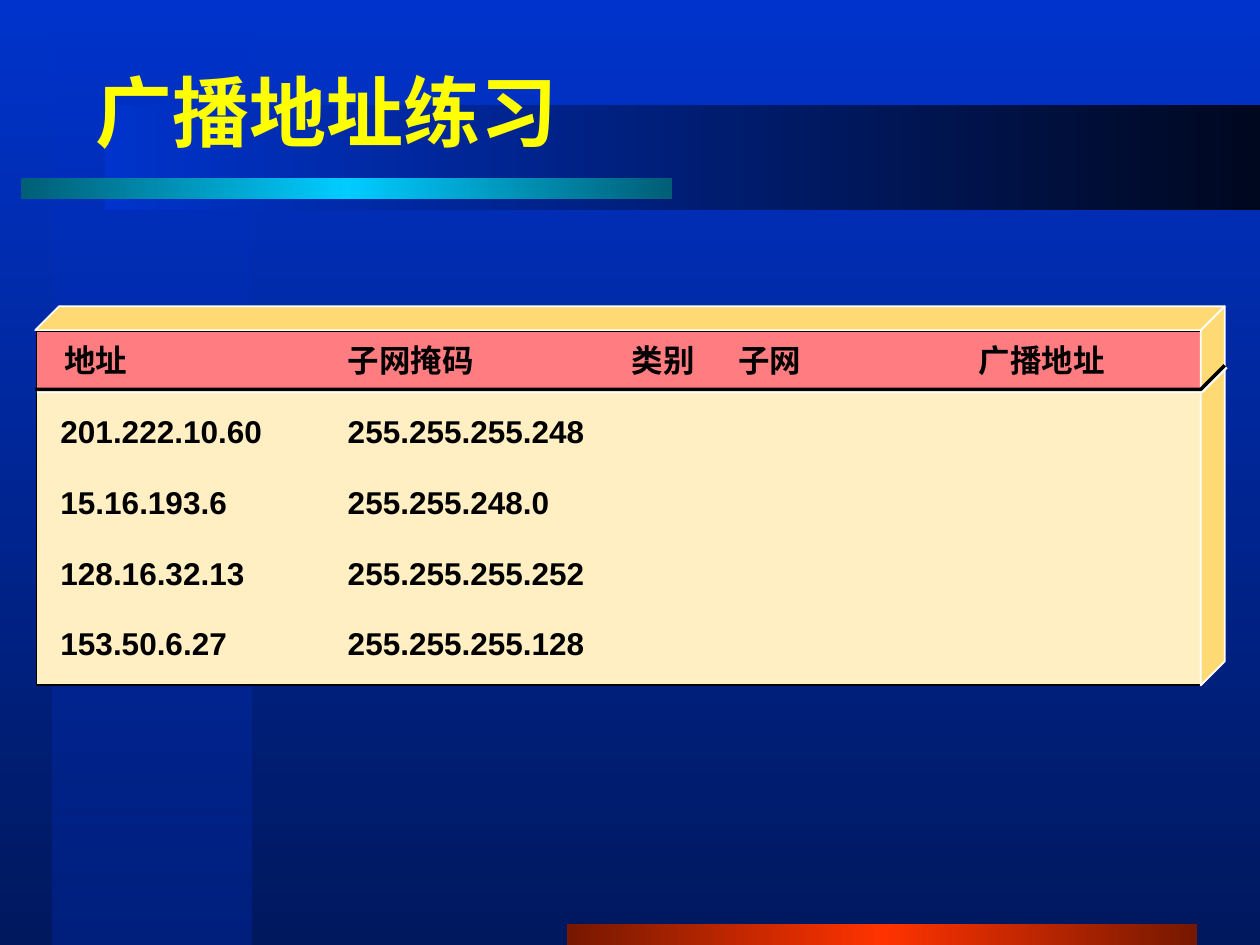
from dataclasses import dataclass

import pptx
import pptx.dml.color
import pptx.enum.shapes
import pptx.enum.text
import pptx.oxml
import pptx.oxml.ns
import pptx.util
from lxml import etree

Inches = pptx.util.Inches
Pt = pptx.util.Pt
qn = pptx.oxml.ns.qn
RECTANGLE = pptx.enum.shapes.MSO_SHAPE.RECTANGLE
LEFT = pptx.enum.text.PP_ALIGN.LEFT
CENTER = pptx.enum.text.PP_ALIGN.CENTER

SLIDE_WIDTH, SLIDE_HEIGHT = 10, 7.5
COLUMNS, ROWS = 240, 180  # slide grid, 24 cells to the inch
CELL = SLIDE_WIDTH / COLUMNS

COLORS = {
    "blue": "0033CC", "navy": "00185E", "stripe": "00207E", "night": "00081F",
    "rust": "761800", "red": "FF3300", "teal": "005E76", "cyan": "00CCFF",
    "cream": "FFEFC2", "pink": "FF7C80", "gold": "FFDA74", "yellow": "FFFF01",
    "black": "000000", "white": "FFFFFF", "gray": "808080",
}


@dataclass
class Stop:
    percent: int
    color: str
    opacity: int = 100


@dataclass
class Band:
    """A gradient bar, placed in cells of the slide grid."""
    column: int
    row: int
    columns: int
    rows: int
    stops: list[Stop]
    angle: int = 0


@dataclass
class TableColumn:
    heading: str
    heading_left: float
    heading_width: float
    left: float = 0
    width: float = 0
    entries: tuple[str, ...] = ()
    align: int = LEFT


BACKGROUND = [Stop(0, "blue"), Stop(100, "navy")]
BANDS = [
    Band(10, 0, 38, ROWS, [Stop(0, "blue", 50), Stop(100, "stripe")], 90),
    Band(108, 176, 120, 4, [Stop(0, "rust"), Stop(50, "red"), Stop(100, "rust")]),
    Band(20, 20, 220, 20, [Stop(0, "blue"), Stop(100, "night")]),
    Band(4, 34, 124, 4, [Stop(0, "teal"), Stop(50, "cyan"), Stop(100, "teal")]),
]

TABLE_COLUMNS = [
    TableColumn("地址", 0.4, 1.59, 0.37, 2.32,
                ("201.222.10.60", "15.16.193.6", "128.16.32.13", "153.50.6.27")),
    TableColumn("子网掩码", 2.65, 2.1, 2.65, 2.19,
                ("255.255.255.248", "255.255.248.0",
                 "255.255.255.252", "255.255.255.128")),
    TableColumn("类别", 4.75, 1.03, align=CENTER),
    TableColumn("子网", 5.75, 1.81),
    TableColumn("广播地址", 7.66, 1.57),
]
HEADING_TOP, FIRST_ROW_TOP, ROW_PITCH, TEXT_HEIGHT = 2.67, 3.23, 0.563, 0.4

# Panel with a raised edge: front face and the depth of the slanted sides
FRONT_LEFT, FRONT_RIGHT = 0.28, 9.53
FRONT_TOP, FRONT_BOTTOM, HEADER_BOTTOM = 2.62, 5.44, 3.09
DEPTH = 0.19


def rgb(name: str) -> pptx.dml.color.RGBColor:
    return pptx.dml.color.RGBColor.from_string(COLORS[name])


def set_gradient(fill, element, stops: list[Stop], angle: int) -> None:
    fill.gradient()
    gradient = next(element.iter(qn("a:gradFill")))
    gradient.find(qn("a:lin")).set("ang", str(angle * 60000))
    stop_list = gradient.find(qn("a:gsLst"))
    for old_stop in list(stop_list):
        stop_list.remove(old_stop)
    for stop in stops:
        item = etree.SubElement(stop_list, qn("a:gs"), pos=str(stop.percent * 1000))
        color = etree.SubElement(item, qn("a:srgbClr"), val=COLORS[stop.color])
        if stop.opacity < 100:
            etree.SubElement(color, qn("a:alpha"), val=str(stop.opacity * 1000))


def add_shadow(effects, color: str, distance: float) -> None:
    """Append a hard shadow towards the lower right to an effect list."""
    shadow = etree.SubElement(effects, qn("a:outerShdw"), dist=str(Pt(distance)),
                              dir="2700000", algn="ctr", rotWithShape="0")
    etree.SubElement(shadow, qn("a:srgbClr"), val=COLORS[color])


def add_band(page, band: Band) -> None:
    place = (band.column, band.row, band.columns, band.rows)
    shape = page.shapes.add_shape(RECTANGLE, *(Inches(n * CELL) for n in place))
    shape.shadow.inherit = False
    set_gradient(shape.fill, shape.element, band.stops, band.angle)
    shape.line.fill.background()


def style_shape(shape, fill: str | None, line: str, width: float) -> None:
    shape.shadow.inherit = False
    if fill:
        shape.fill.solid()
        shape.fill.fore_color.rgb = rgb(fill)
    else:
        shape.fill.background()
    shape.line.color.rgb = rgb(line)
    shape.line.width = Pt(width)


def add_face(page, bottom: float, fill: str) -> None:
    inset = 0.01
    face = page.shapes.add_shape(
        RECTANGLE, Inches(FRONT_LEFT + inset), Inches(FRONT_TOP + inset),
        Inches(FRONT_RIGHT - FRONT_LEFT - inset), Inches(bottom - FRONT_TOP - inset))
    style_shape(face, fill, "black", 1)


def add_outline(page, points: list[tuple[float, float]], closed: bool):
    hundredths = [(round(x * 100), round(y * 100)) for x, y in points]
    builder = page.shapes.build_freeform(*hundredths[0], scale=Inches(0.01))
    builder.add_line_segments(hundredths[1:], close=closed)
    return builder.convert_to_shape()


def add_text(page, text: str, place: tuple[float, float, float, float], size: int,
             font: str, color: str, margins: tuple[float, float]):
    box = page.shapes.add_textbox(*(Inches(n) for n in place))
    frame = box.text_frame
    frame.word_wrap = True
    frame.margin_left = frame.margin_right = Inches(margins[0])
    frame.margin_top = frame.margin_bottom = Inches(margins[1])
    para = frame.paragraphs[0]
    para.text = text
    para.font.size = Pt(size)
    para.font.name = font
    para.font.bold = True
    para.font.color.rgb = rgb(color)
    return frame


def add_title(page, text: str) -> None:
    place = (16 * CELL, 6 * CELL, 209 * CELL, 30 * CELL)
    frame = add_text(page, text, place, 44, "Times New Roman", "yellow", (0.09, 0.04))
    frame.vertical_anchor = pptx.enum.text.MSO_ANCHOR.MIDDLE
    span = frame.paragraphs[0].runs[0]
    properties = span.font.fill and span._r.get_or_add_rPr()
    add_shadow(etree.SubElement(properties, qn("a:effectLst")), "gray", 2.8)


def add_entry(page, text: str, left: float, top: float, width: float,
              align: int = LEFT) -> None:
    frame = add_text(page, text, (left, top, width, TEXT_HEIGHT), 18, "Arial",
                     "black", (0.11, 0.06))
    frame.auto_size = pptx.enum.text.MSO_AUTO_SIZE.SHAPE_TO_FIT_TEXT
    frame.paragraphs[0].line_spacing = 0.95
    frame.paragraphs[0].alignment = align


def add_panel_edges(page) -> None:
    back_right, back_top = FRONT_RIGHT + DEPTH, FRONT_TOP - DEPTH
    side = [(back_right, back_top), (FRONT_RIGHT, FRONT_TOP),
            (FRONT_RIGHT, FRONT_BOTTOM), (back_right, FRONT_BOTTOM - DEPTH)]
    top = [(FRONT_LEFT, FRONT_TOP), (FRONT_LEFT + DEPTH, back_top),
           (back_right, back_top), (FRONT_RIGHT, FRONT_TOP)]
    for points in (side, top):
        style_shape(add_outline(page, points, True), "gold", "white", 1)
    divider = add_outline(page, [(FRONT_LEFT, HEADER_BOTTOM),
                                 (FRONT_RIGHT, HEADER_BOTTOM),
                                 (back_right, HEADER_BOTTOM - DEPTH)], False)
    style_shape(divider, None, "black", 2)
    add_shadow(next(divider.element.iter(qn("a:effectLst"))), "white", 1.4)


def main() -> None:
    deck = pptx.Presentation()
    deck.slide_width, deck.slide_height = Inches(SLIDE_WIDTH), Inches(SLIDE_HEIGHT)
    page = deck.slides.add_slide(deck.slide_layouts[6])
    set_gradient(page.background.fill, page.element, BACKGROUND, 90)
    for band in BANDS:
        add_band(page, band)
    add_face(page, FRONT_BOTTOM, "cream")
    add_face(page, HEADER_BOTTOM, "pink")
    add_title(page, "广播地址练习")
    add_panel_edges(page)
    for column in TABLE_COLUMNS:
        add_entry(page, column.heading, column.heading_left, HEADING_TOP,
                  column.heading_width, column.align)
        for row, entry in enumerate(column.entries):
            add_entry(page, entry, column.left, FIRST_ROW_TOP + row * ROW_PITCH,
                      column.width)
    deck.save("out.pptx")


if __name__ == "__main__":
    main()
